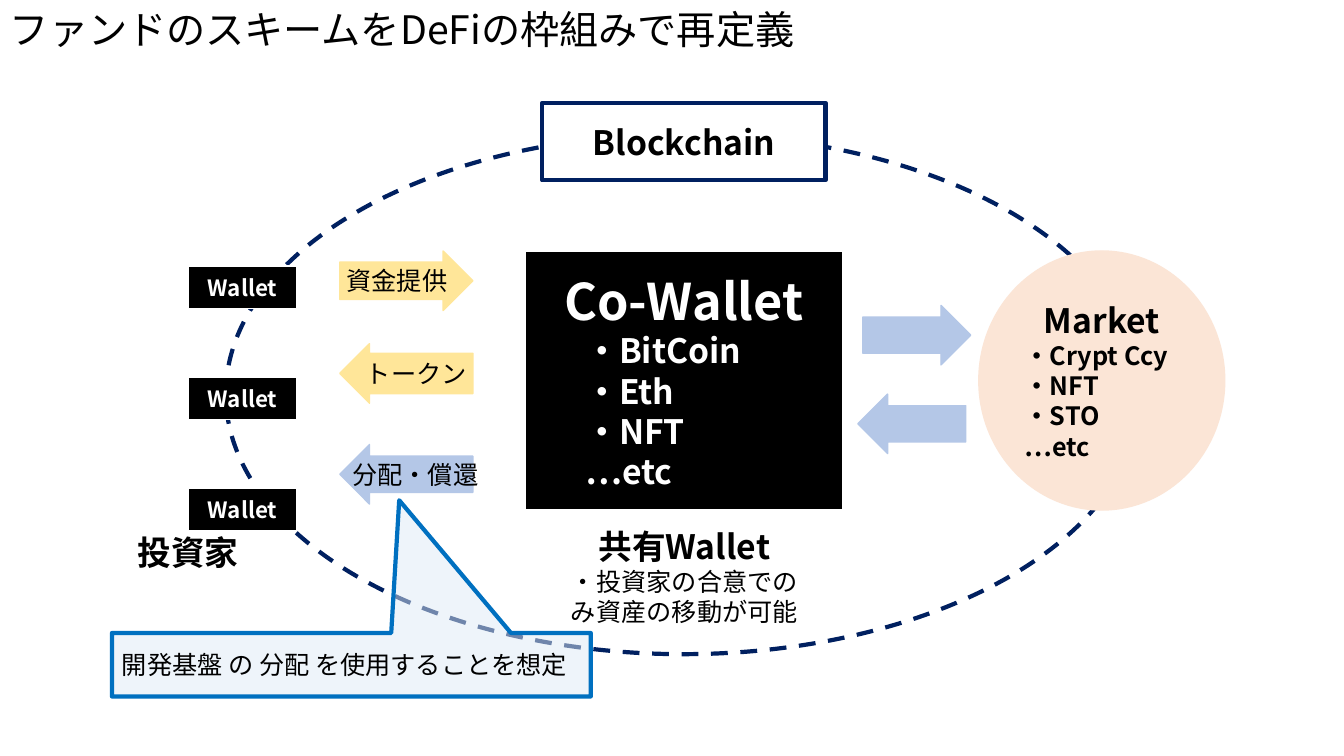
from dataclasses import dataclass
from typing import NamedTuple, Optional

import lxml.etree
import pptx
import pptx.dml.color
import pptx.enum.dml
import pptx.enum.shapes
import pptx.enum.text
import pptx.oxml.ns
import pptx.util

SHAPE = pptx.enum.shapes.MSO_SHAPE
ALIGN = pptx.enum.text.PP_ALIGN
ANCHOR = pptx.enum.text.MSO_ANCHOR
qn = pptx.oxml.ns.qn

SLIDE_WIDTH = pptx.util.Inches(13.333)
SLIDE_HEIGHT = pptx.util.Inches(7.5)


@dataclass(frozen=True)
class Theme:
    font: str = "Noto Sans CJK JP"
    black: str = "000000"
    white: str = "FFFFFF"
    navy: str = "002060"
    peach: str = "FBE5D6"
    yellow: str = "FFE699"
    blue: str = "B4C7E7"
    pale_blue: str = "DEEBF7"
    callout_blue: str = "0070C0"
    title: int = 28
    hero: int = 36
    heading: int = 24
    body: int = 18
    label: int = 16
    thin: int = 1
    thick: int = 3


THEME = Theme()


class Area(NamedTuple):
    """Position and size in percent of the slide's width and height."""
    left: float
    top: float
    width: float
    height: float


class Line(NamedTuple):
    text: str
    size: int
    bold: bool = False
    align: Optional[ALIGN] = ALIGN.CENTER
    indent: float = 0
    spacing: Optional[float] = None


@dataclass(frozen=True)
class Block:
    """A preset shape with text, or a plain text box when kind is None."""
    area: Area
    lines: tuple[Line, ...] = ()
    kind: Optional[SHAPE] = None
    fill: Optional[str] = None
    outline: str = THEME.white
    outline_width: int = THEME.thin
    ink: str = THEME.black
    adjustments: tuple[float, ...] = ()
    wrap: bool = True
    anchor: ANCHOR = ANCHOR.MIDDLE
    opacity: int = 100
    dashed: bool = False
    rotation: int = 0


def rgb(code: str) -> pptx.dml.color.RGBColor:
    return pptx.dml.color.RGBColor.from_string(code)


def write_lines(frame, block: Block) -> None:
    frame.word_wrap = block.wrap
    frame.vertical_anchor = block.anchor
    for index, line in enumerate(block.lines):
        paragraph = frame.add_paragraph() if index else frame.paragraphs[0]
        paragraph.alignment = line.align
        if line.spacing:
            paragraph.line_spacing = line.spacing
        if line.indent:
            properties = paragraph._p.get_or_add_pPr()
            properties.set("marL", str(pptx.util.Inches(line.indent)))
            properties.set("indent", "0")
        run = paragraph.add_run()
        run.text = line.text
        run.font.size = pptx.util.Pt(line.size)
        run.font.bold = line.bold
        run.font.color.rgb = rgb(block.ink)
        run.font.name = THEME.font
        east_asian = lxml.etree.SubElement(run._r.get_or_add_rPr(), qn("a:ea"))
        east_asian.set("typeface", THEME.font)


def style_shape(shape, block: Block) -> None:
    shape.shadow.inherit = False
    shape.rotation = block.rotation
    for index, value in enumerate(block.adjustments):
        shape.adjustments[index] = value
    if block.fill:
        shape.fill.solid()
        shape.fill.fore_color.rgb = rgb(block.fill)
        if block.opacity < 100:
            color = shape._element.spPr.find(f"{qn('a:solidFill')}/{qn('a:srgbClr')}")
            alpha = lxml.etree.SubElement(color, qn("a:alpha"))
            alpha.set("val", str(block.opacity * 1000))
    else:
        shape.fill.background()
    shape.line.color.rgb = rgb(block.outline)
    shape.line.width = pptx.util.Pt(block.outline_width)
    if block.dashed:
        shape.line.dash_style = pptx.enum.dml.MSO_LINE.DASH


def draw(slide, block: Block) -> None:
    left, width = (int(SLIDE_WIDTH * share / 100) for share in (block.area.left, block.area.width))
    top, height = (int(SLIDE_HEIGHT * share / 100) for share in (block.area.top, block.area.height))
    if block.kind is None:
        shape = slide.shapes.add_textbox(left, top, width, height)
    else:
        shape = slide.shapes.add_shape(block.kind, left, top, width, height)
        style_shape(shape, block)
    write_lines(shape.text_frame, block)


def bullets(*texts: str, size: int, indent: float = 0) -> tuple[Line, ...]:
    return tuple(Line(text, size, True, ALIGN.LEFT, indent) for text in texts)


def wallet(row: int) -> Block:
    return Block(Area(14.03, 35.2 + row * 14.67, 8.03, 5.6),
                 (Line("Wallet", THEME.label, True),),
                 SHAPE.RECTANGLE, THEME.black, ink=THEME.white)


def arrow(left: float, top: float, width: float, kind: SHAPE, color: str,
          shaft: float, label: str = "") -> Block:
    lines = (Line(label, THEME.body),) if label else ()
    return Block(Area(left, top, width, 7.87), lines, kind, color, color,
                 adjustments=(shaft, 0.5), wrap=False)


def flow(top: float, kind: SHAPE, color: str, shaft: float, label: str) -> Block:
    """An arrow between the investors and the shared wallet."""
    return arrow(25.28, top, 9.9, kind, color, shaft, label)


def trade(left: float, top: float, kind: SHAPE) -> Block:
    """An arrow between the shared wallet and the market."""
    return arrow(left, top, 8.03, kind, THEME.blue, 0.61)


BLOCKS = (
    Block(Area(0, 0, 100, 8.4),
          (Line("ファンドのスキームをDeFiの枠組みで再定義", THEME.title, align=ALIGN.LEFT, spacing=0.9),)),
    Block(Area(16.8, 17.73, 68.1, 68.8), kind=SHAPE.OVAL, outline=THEME.navy,
          outline_width=THEME.thick, dashed=True, rotation=180),
    Block(Area(8.85, 69.73, 10.28, 6.67), (Line("投資家", THEME.heading, True),),
          anchor=ANCHOR.TOP),
    *(wallet(row) for row in range(3)),
    Block(Area(39.08, 33.2, 23.63, 34.27),
          (Line("Co-Wallet", THEME.hero, True),
           *bullets("・BitCoin", "・Eth", "・NFT", "…etc", size=THEME.heading, indent=0.5)),
          SHAPE.RECTANGLE, THEME.black, ink=THEME.white),
    Block(Area(72.83, 33.2, 18.3, 34.27),
          (Line("Market", THEME.heading, True),
           *bullets("・Crypt Ccy", "・NFT", "・STO", "…etc", size=THEME.body)),
          SHAPE.OVAL, THEME.peach, THEME.peach, wrap=False),
    Block(Area(40.35, 13.6, 21.08, 10.27), (Line("Blockchain", THEME.heading, True),),
          SHAPE.RECTANGLE, THEME.white, THEME.navy, THEME.thick),
    flow(33.2, SHAPE.RIGHT_ARROW, THEME.yellow, 0.63, "資金提供"),
    flow(58.8, SHAPE.LEFT_ARROW, THEME.blue, 0.61, "分配・償還"),
    flow(45.47, SHAPE.LEFT_ARROW, THEME.yellow, 0.68, "トークン"),
    trade(64.2, 40.4, SHAPE.RIGHT_ARROW),
    trade(63.83, 52.13, SHAPE.LEFT_ARROW),
    Block(Area(41.4, 68.93, 19.05, 14.8),
          (Line("共有Wallet", THEME.heading, True),
           Line("・投資家の合意でのみ資産の移動が可能", THEME.body)),
          anchor=ANCHOR.TOP),
    Block(Area(8.33, 83.73, 35.63, 8.4),
          (Line("開発基盤 の 分配 を使用することを想定", THEME.body, align=ALIGN.JUSTIFY),),
          SHAPE.RECTANGULAR_CALLOUT, THEME.pale_blue, THEME.callout_blue, THEME.thick,
          adjustments=(0.1, -2.59), opacity=50),
)


def main() -> None:
    presentation = pptx.Presentation()
    presentation.slide_width = SLIDE_WIDTH
    presentation.slide_height = SLIDE_HEIGHT
    slide = presentation.slides.add_slide(presentation.slide_layouts[6])
    for block in BLOCKS:
        draw(slide, block)
    presentation.save("out.pptx")


if __name__ == "__main__":
    main()
